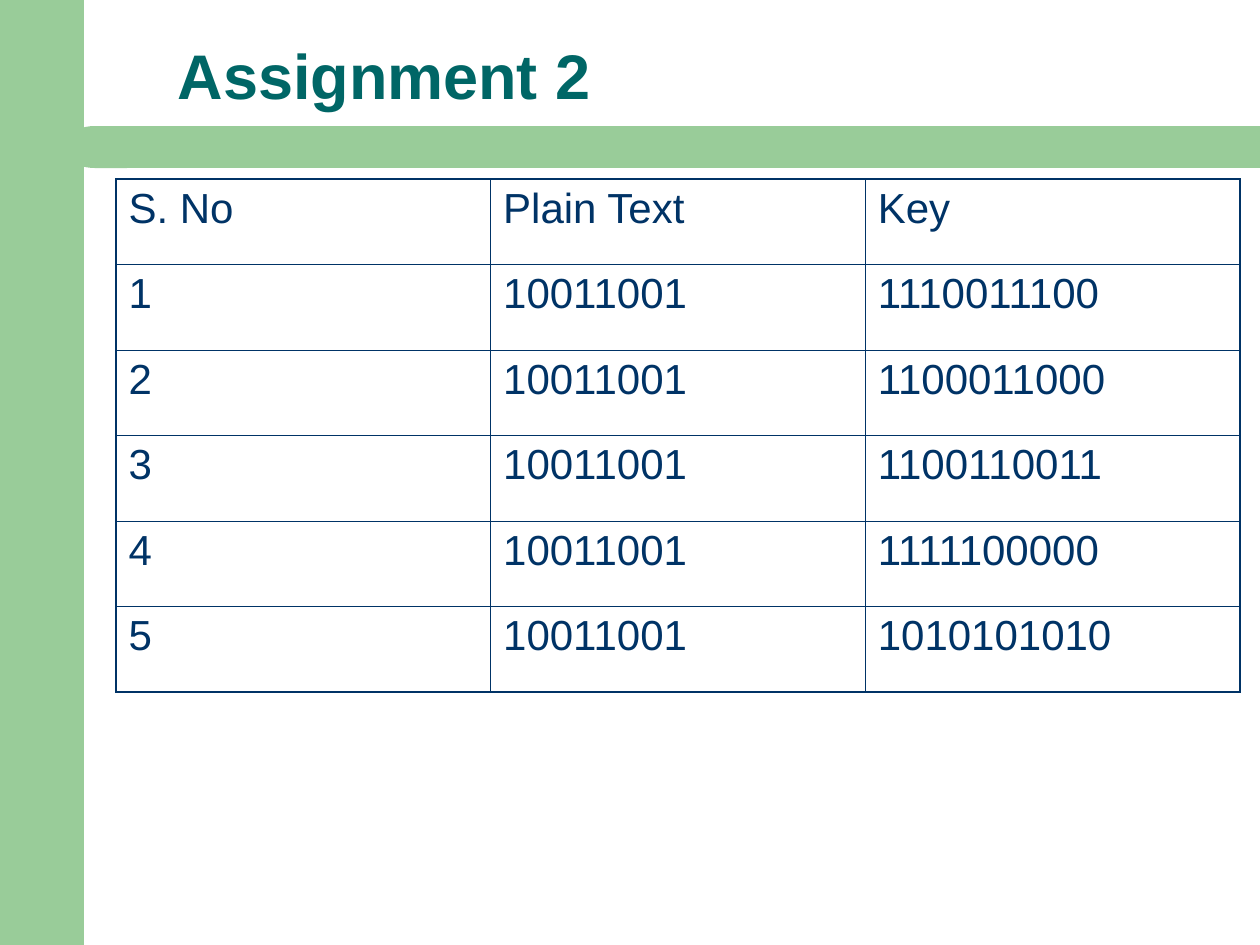
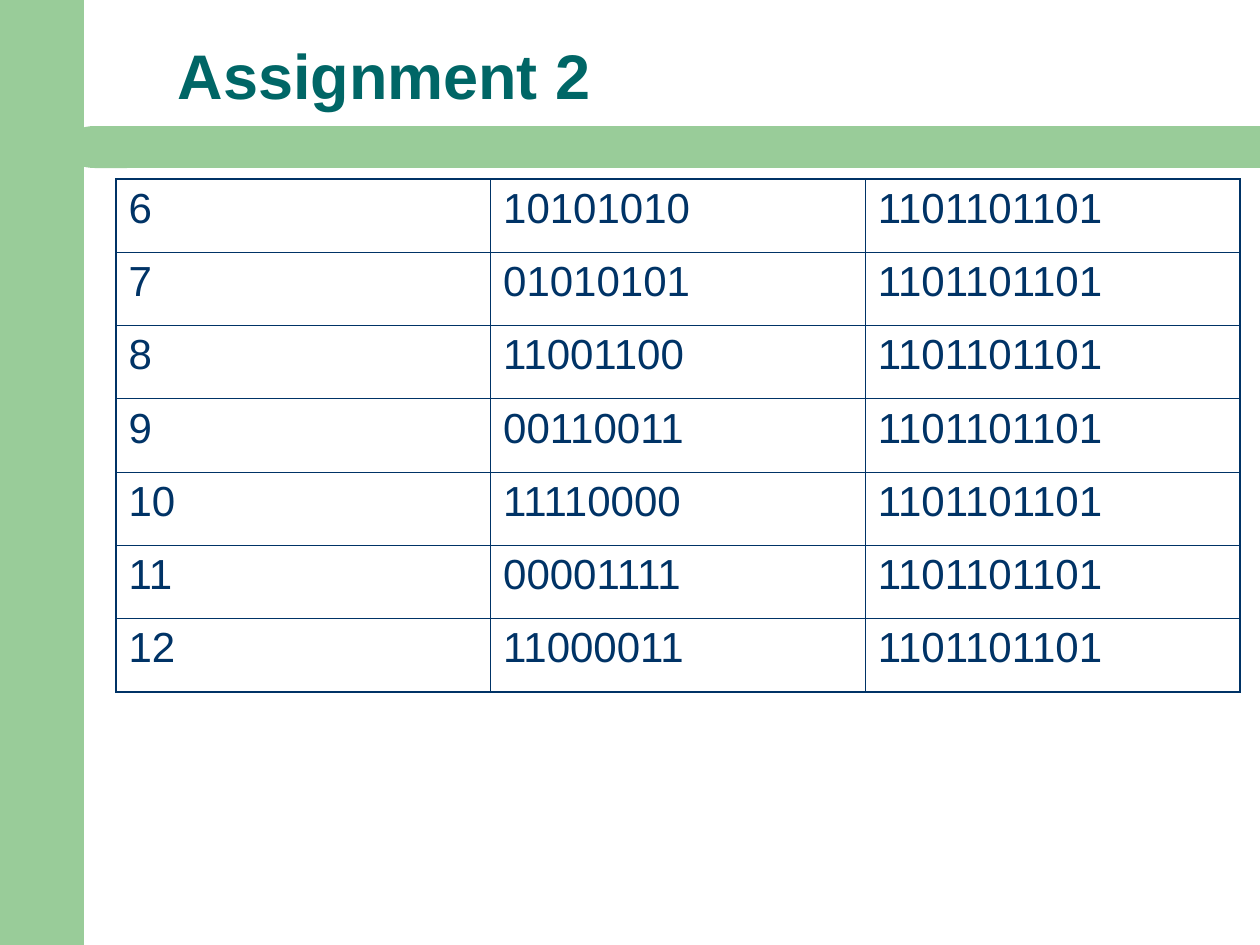
from lxml.etree import SubElement
from pptx import Presentation
from pptx.dml.color import RGBColor
from pptx.enum.shapes import MSO_SHAPE
from pptx.enum.text import MSO_ANCHOR, MSO_AUTO_SIZE, PP_ALIGN
from pptx.oxml.ns import qn
from pptx.util import Emu, Pt

PX_PER_INCH = 126
SLIDE_W, SLIDE_H = 1260, 945
BAND_TOP, BAND_H = 126, 42
TITLE_BOX = (165, 18, 1077, 101)
TABLE_BOX = (116, 179, 1124, 513)

FONT = "Arial"
GREEN, TEAL, NAVY = "99CC99", "006666", "003366"
INNER_LINE, OUTER_LINE = Pt(0.45), Pt(1.08)

TITLE = "Assignment 2"
FIRST_ROWS = [
    ("S. No", "Plain Text", "Key"),
    ("1", "10011001", "1110011100"),
    ("2", "10011001", "1100011000"),
    ("3", "10011001", "1100110011"),
    ("4", "10011001", "1111100000"),
    ("5", "10011001", "1010101010"),
]
SHARED_KEY = "1101101101"
PLAIN_TEXTS = ["10101010", "01010101", "11001100", "00110011",
               "11110000", "00001111", "11000011"]
LAST_ROWS = [(str(n), text, SHARED_KEY) for n, text in enumerate(PLAIN_TEXTS, 6)]


def px(n):
    return Emu(round(n * 914400 / PX_PER_INCH))


def color(hex_code):
    return RGBColor.from_string(hex_code)


def format_text(p, size, hex_code, bold=False):
    p.alignment = PP_ALIGN.LEFT
    for r in p.runs:
        r.font.name = FONT
        r.font.size = Pt(size)
        r.font.bold = bold
        r.font.color.rgb = color(hex_code)


def add_band(s, kind, *box):
    sp = s.shapes.add_shape(kind, *map(px, box))
    sp.shadow.inherit = False
    sp.fill.solid()
    sp.fill.fore_color.rgb = color(GREEN)
    sp.line.fill.background()
    return sp


def add_frame(s):
    # Left column, and the horizontal band with its rounded left end
    add_band(s, MSO_SHAPE.RECTANGLE, 0, 0, 84, SLIDE_H)
    add_band(s, MSO_SHAPE.RECTANGLE, 125, BAND_TOP, SLIDE_W - 125, BAND_H)
    cap = add_band(s, MSO_SHAPE.FLOWCHART_DELAY, 63, BAND_TOP, 64, BAND_H)
    cap._element.spPr.find(qn("a:xfrm")).set("flipH", "1")


def set_title(s, text):
    sp = s.shapes.title
    sp.left, sp.top, sp.width, sp.height = map(px, TITLE_BOX)
    tf = sp.text_frame
    tf.text = text
    tf.word_wrap = True
    tf.auto_size = MSO_AUTO_SIZE.NONE
    tf.vertical_anchor = MSO_ANCHOR.BOTTOM
    p = tf.paragraphs[0]
    p.line_spacing = 0.9
    format_text(p, 36, TEAL, bold=True)


def set_border(cell, side, width):
    tcPr = cell._tc.get_or_add_tcPr()
    ln = SubElement(tcPr, qn(f"a:ln{side}"), w=str(width))
    fill = SubElement(ln, qn("a:solidFill"))
    SubElement(fill, qn("a:srgbClr"), val=NAVY)


def add_grid(s, rows):
    n_rows, n_cols = len(rows), len(rows[0])
    table = s.shapes.add_table(n_rows, n_cols, *map(px, TABLE_BOX)).table
    table.first_row = table.horz_banding = False
    for col in table.columns:
        col.width = px(TABLE_BOX[2] / n_cols)
    for i, values in enumerate(rows):
        table.rows[i].height = px(TABLE_BOX[3] / n_rows)
        for j, value in enumerate(values):
            cell = table.cell(i, j)
            cell.text = value
            format_text(cell.text_frame.paragraphs[0], 24, NAVY)
            # Thicker lines around the outside of the table
            outer = {"L": j == 0, "R": j == n_cols - 1,
                     "T": i == 0, "B": i == n_rows - 1}
            for side, is_outer in outer.items():
                set_border(cell, side, OUTER_LINE if is_outer else INNER_LINE)
            cell.fill.background()


def main():
    prs = Presentation()
    prs.slide_width, prs.slide_height = px(SLIDE_W), px(SLIDE_H)
    for rows in (FIRST_ROWS, LAST_ROWS):
        s = prs.slides.add_slide(prs.slide_layouts[5])
        add_frame(s)
        set_title(s, TITLE)
        add_grid(s, rows)
    prs.save("out.pptx")


if __name__ == "__main__":
    main()
